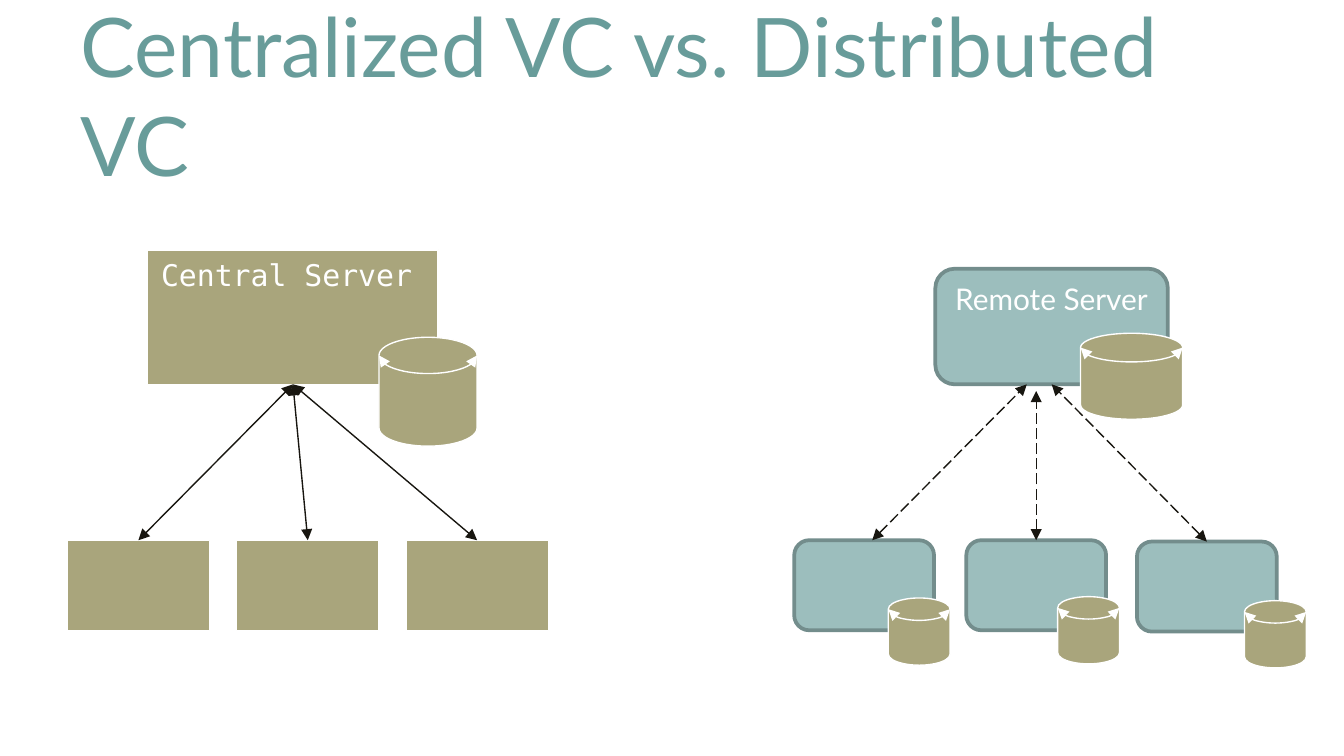
from lxml import etree
from pptx import Presentation
from pptx import util as u
from pptx.dml.color import RGBColor
from pptx.enum import dml, shapes, text
from pptx.oxml import ns

TEAL = RGBColor(0x68, 0x9C, 0x9A)
PALE_TEAL = RGBColor(0x9C, 0xBE, 0xBD)
DARK_TEAL = RGBColor(0x73, 0x8D, 0x8C)
OLIVE = RGBColor(0xA9, 0xA5, 0x7C)
INK = RGBColor(0x18, 0x16, 0x10)
WHITE = RGBColor(0xFF, 0xFF, 0xFF)

RECT = shapes.MSO_SHAPE.RECTANGLE
ROUNDED = shapes.MSO_SHAPE.ROUNDED_RECTANGLE
DISK = shapes.MSO_SHAPE.FLOWCHART_MAGNETIC_DISK
TOP, BOTTOM = 0, 2

STYLES = {
    RECT: {"fill": OLIVE, "line": WHITE, "width": 0.75},
    DISK: {"fill": OLIVE, "line": WHITE, "width": 0.75},
    ROUNDED: {"fill": PALE_TEAL, "line": DARK_TEAL, "width": 2},
}


def add_arrowheads(line):
    """Put a triangle at both ends of a line."""
    properties = line._get_or_add_ln()
    for end in ("a:headEnd", "a:tailEnd"):
        etree.SubElement(properties, ns.qn(end), type="triangle")


def add_node(slide, kind, left, top, width, height):
    """Add a server, client or repository disk in the style of its kind."""
    shape = slide.shapes.add_shape(kind, *map(u.Inches, (left, top, width, height)))
    style = STYLES[kind]
    shape.shadow.inherit = False
    shape.fill.solid()
    shape.fill.fore_color.rgb = style["fill"]
    shape.line.color.rgb = style["line"]
    shape.line.width = u.Pt(style["width"])
    if kind == DISK:
        add_arrowheads(shape.line)
    return shape


def write_text(shape, words, font, anchor, align, margin=0.1):
    """Write one formatted paragraph into a shape."""
    frame = shape.text_frame
    settings = {"word_wrap": True, "vertical_anchor": anchor,
                "margin_left": u.Inches(margin), "margin_right": u.Inches(margin)}
    for name, value in settings.items():
        setattr(frame, name, value)
    paragraph = frame.paragraphs[0]
    paragraph.alignment = align
    run = paragraph.add_run()
    run.text = words
    name, size, color = font
    for key, value in {"name": name, "size": u.Pt(size)}.items():
        setattr(run.font, key, value)
    run.font.color.rgb = color


def add_link(slide, start, end, client=None, server=None, dash=None):
    """Add a two-way arrow from a client up to a server."""
    link = slide.shapes.add_connector(
        shapes.MSO_CONNECTOR.STRAIGHT, *map(u.Inches, (*start, *end)))
    etree.SubElement(link._element.spPr, ns.qn("a:effectLst"))
    link.line.color.rgb = INK
    link.line.width = u.Pt(0.75)
    if dash:
        link.line.dash_style = dash
    add_arrowheads(link.line)
    if client is not None:
        link.begin_connect(client, TOP)
    if server is not None:
        link.end_connect(server, BOTTOM)


def add_title(slide, left, top, width, height):
    """Add the slide title."""
    box = slide.shapes.add_textbox(*map(u.Inches, (left, top, width, height)))
    write_text(box, "Centralized VC vs. Distributed VC", ("Lato", 44, TEAL),
               text.MSO_ANCHOR.MIDDLE, text.PP_ALIGN.LEFT)


def add_centralized(slide, left, top):
    """Draw one server with the only repository, and three clients."""
    server = add_node(slide, RECT, left + 0.6, top, 2.16, 1)
    write_text(server, "Central Server", ("DejaVu Sans Mono", 16, WHITE),
               text.MSO_ANCHOR.TOP, text.PP_ALIGN.LEFT)
    add_node(slide, DISK, left + 2.32, top + 0.65, 0.73, 0.81)
    for column in range(3):
        x, y = left + 1.26 * column, top + 2.16
        client = add_node(slide, RECT, x, y, 1.06, 0.67)
        add_link(slide, (x + 0.53, y), (left + 1.68, top + 1), client, server)


def add_distributed(slide, left, top):
    """Draw a remote server and three clients, each with its own repository."""
    clients = [add_node(slide, ROUNDED, left + x, top + y, 1.04, 0.67)
               for x, y in ((0, 2.02), (1.28, 2.02), (2.55, 2.03))]
    for x, y in ((0.7, 2.45), (1.96, 2.44), (3.35, 2.47)):
        add_node(slide, DISK, left + x, top + y, 0.46, 0.5)
    server = add_node(slide, ROUNDED, left + 1.05, top, 1.73, 0.86)
    write_text(server, "Remote Server", ("Lato", 16, WHITE),
               text.MSO_ANCHOR.TOP, text.PP_ALIGN.CENTER, 0.05)
    add_node(slide, DISK, left + 2.13, top + 0.48, 0.76, 0.64)
    links = (
        ((0.58, 2.02), (1.73, 0.86), None, None),
        ((1.8, 2.02), (1.8, 0.91), clients[1], None),
        ((3.07, 2.03), (1.91, 0.86), clients[2], server),
    )
    for (x1, y1), (x2, y2), client, target in links:
        add_link(slide, (left + x1, top + y1), (left + x2, top + y2),
                 client, target, dml.MSO_LINE.LONG_DASH)


def main():
    """Build and save the slide."""
    presentation = Presentation()
    presentation.slide_width = u.Inches(10)
    presentation.slide_height = presentation.slide_width * 9 // 16
    slide = presentation.slides.add_slide(presentation.slide_layouts[6])
    add_title(slide, 0.5, 0.23, 9, 0.94)
    add_centralized(slide, 0.5, 1.86)
    add_distributed(slide, 5.91, 2)
    presentation.save("out.pptx")


if __name__ == "__main__":
    main()
